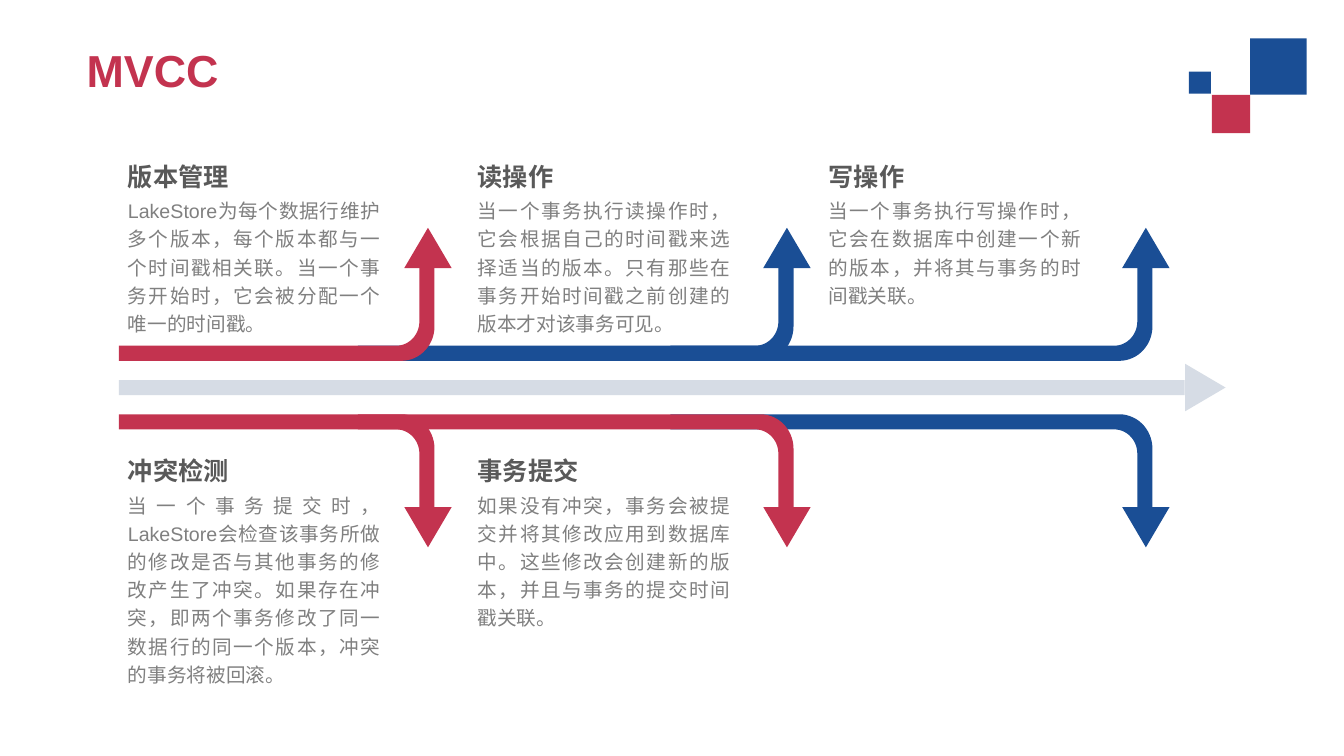
import math
from pptx import Presentation
from pptx import util as u
from pptx.dml.color import RGBColor
from pptx.enum import shapes, text

BLUE, RED, PALE = "1A4E95", "C3334F", "D6DCE5"
HEADING, BODY = "595959", "808080"
FONT = "Arial"

TITLE = "MVCC"
SQUARES = [(12.4, 0.38, 0.56, BLUE), (12.02, 0.94, 0.38, RED), (11.79, 0.71, 0.22, BLUE)]
COLUMNS = [1.17, 4.64, 8.12]
ROWS = [
    (1.49, [
        ("版本管理", "LakeStore为每个数据行维护多个版本，每个版本都与一个时间戳相关联。当一个事务开始时，它会被分配一个唯一的时间戳。", 1.49),
        ("读操作", "当一个事务执行读操作时，它会根据自己的时间戳来选择适当的版本。只有那些在事务开始时间戳之前创建的版本才对该事务可见。", 1.49),
        ("写操作", "当一个事务执行写操作时，它会在数据库中创建一个新的版本，并将其与事务的时间戳关联。", 1.21),
    ]),
    (4.41, [
        ("冲突检测", "当一个事务提交时，LakeStore会检查该事务所做的修改是否与其他事务的修改产生了冲突。如果存在冲突，即两个事务修改了同一数据行的同一个版本，冲突的事务将被回滚。", 2.06),
        ("事务提交", "如果没有冲突，事务会被提交并将其修改应用到数据库中。这些修改会创建新的版本，并且与事务的提交时间戳关联。", 1.49),
    ]),
]
AXIS_Y = 3.845
TAILS = [1.18, 3.55, 6.65]
BENDS = [4.31, 7.87, 11.43]
ARROW_COLORS = {-1: [RED, BLUE, BLUE], 1: [RED, RED, BLUE]}
THICK, HEAD_W, HEAD_H = 0.15, 0.47, 0.4

prs = Presentation()
prs.slide_width, prs.slide_height = u.Inches(13.33), u.Inches(7.5)
s = prs.slides.add_slide(prs.slide_layouts[6])


def rgb(color):
    return RGBColor.from_string(color)


def paint(sp, color):
    sp.shadow.inherit = False
    sp.fill.solid()
    sp.fill.fore_color.rgb = rgb(color)
    sp.line.fill.background()


def add_shape(kind, x, y, w, h, color, rotation=0):
    sp = s.shapes.add_shape(kind, *map(u.Inches, (x, y, w, h)))
    sp.rotation = rotation
    paint(sp, color)


def add_text(words, x, y, w, h, size, color, bold=False, wrap=True):
    tf = s.shapes.add_textbox(*map(u.Inches, (x, y, w, h))).text_frame
    tf.word_wrap = wrap
    p = tf.paragraphs[0]
    p.text = words
    p.font.name, p.font.size, p.font.bold = FONT, u.Pt(size), bold
    p.font.color.rgb = rgb(color)
    if wrap:
        p.alignment = text.PP_ALIGN.JUSTIFY
        p.line_spacing = 1.2


def corner(right, near, rx, ry):
    angles = [math.radians(a) for a in range(0, 91, 6)]
    return [(right - rx + rx * math.cos(a), near + ry - ry * math.sin(a)) for a in angles]


def add_bent_arrow(tail, right, side, color):
    near, far, tip = 0.265, 0.265 + THICK, 1.185
    inner = right - THICK
    outline = [(tail, far), (tail, near)]
    outline += corner(right, near, 0.33, 0.34)[::-1]
    outline += [(right, tip), (inner, tip)]
    outline += corner(inner, far, 0.23, 0.24)
    points = [(u.Inches(x), u.Inches(AXIS_Y + side * d)) for x, d in outline]
    fb = s.shapes.build_freeform(*points[0], scale=1.0)
    fb.add_line_segments(points[1:], close=True)
    paint(fb.convert_to_shape(), color)
    head_y = AXIS_Y + side * (tip + HEAD_H / 2) - HEAD_H / 2
    add_shape(shapes.MSO_SHAPE.ISOSCELES_TRIANGLE, right - 0.3, head_y,
              HEAD_W, HEAD_H, color, 180 if side > 0 else 0)


for i in reversed(range(len(BENDS))):
    for side, colors in ARROW_COLORS.items():
        add_bent_arrow(TAILS[i], BENDS[i], side, colors[i])

add_shape(shapes.MSO_SHAPE.RECTANGLE, 1.18, AXIS_Y - THICK / 2, 10.57, THICK, PALE)
add_shape(shapes.MSO_SHAPE.ISOSCELES_TRIANGLE, 11.72, AXIS_Y - HEAD_H / 2,
          HEAD_W, HEAD_H, PALE, 90)

add_text(TITLE, 0.76, 0.37, 1.52, 0.64, 32, RED, bold=True, wrap=False)
for x, y, side, color in SQUARES:
    add_shape(shapes.MSO_SHAPE.RECTANGLE, x, y, side, side, color)

for top, blocks in ROWS:
    for x, (heading, body, height) in zip(COLUMNS, blocks):
        add_text(body, x, top + 0.39, 2.7, height, 14, BODY)
        add_text(heading, x, top, 2.45, 0.44, 18, HEADING, bold=True)

prs.save("out.pptx")
